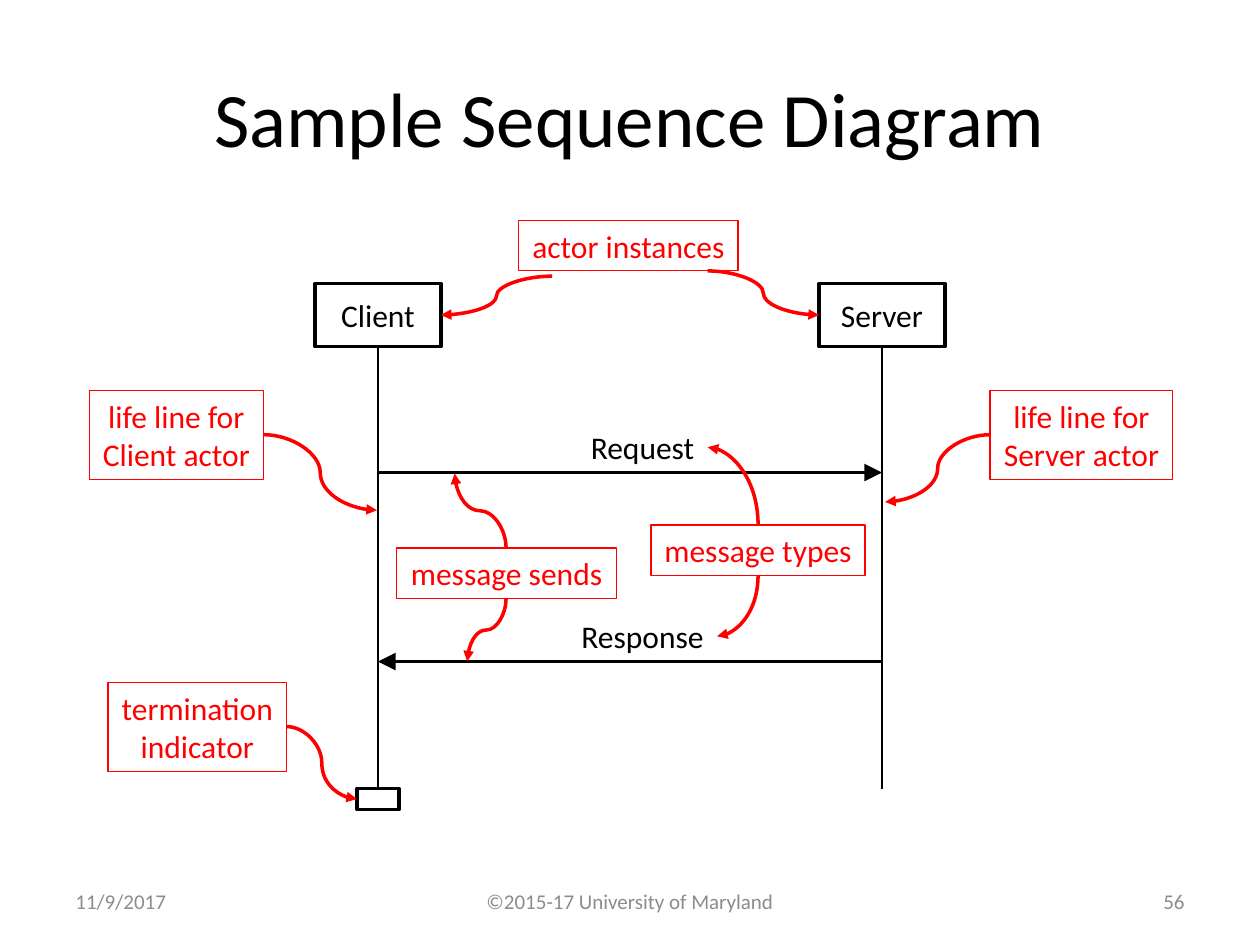
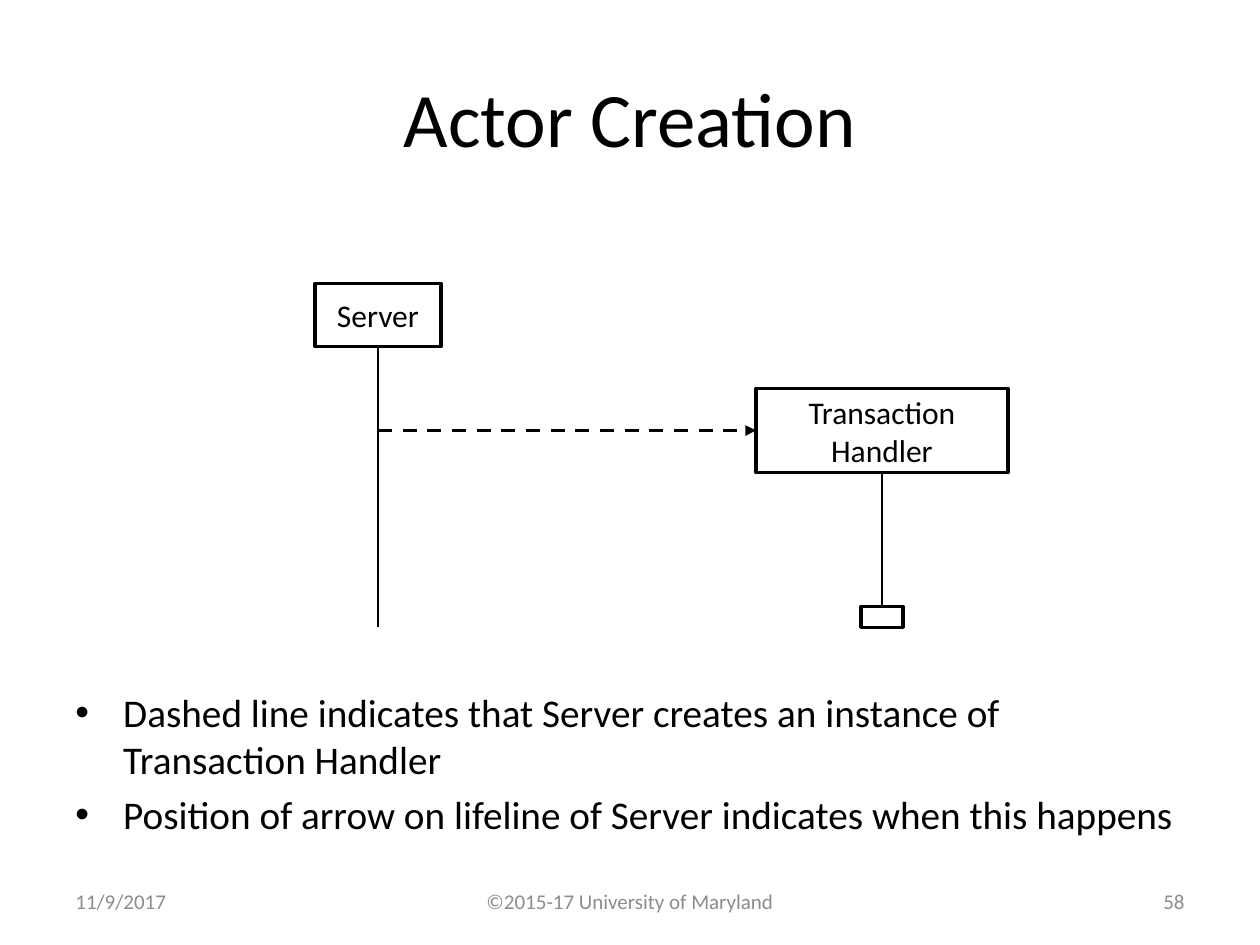
from lxml.etree import SubElement
from pptx import Presentation
from pptx.dml.color import RGBColor
from pptx.enum.dml import MSO_LINE
from pptx.enum.shapes import MSO_CONNECTOR as Link, MSO_SHAPE as Preset
from pptx.enum.text import MSO_ANCHOR as Anchor, PP_ALIGN as Align
from pptx.oxml.ns import qn
from pptx.util import Inches, Pt

COLORS = {"ink": "000000", "note": "FF0000", "footer": "8C8C8C"}
FONT = "Calibri"
COLUMNS, ROWS = 120, 90
BLANK_LAYOUT = 6
LABEL_HEIGHT = 4.8


class SequenceDeck:
    def __init__(self):
        self.deck = Presentation()
        self.deck.slide_width = Inches(10)
        self.deck.slide_height = Inches(7.5)
        self.column = self.deck.slide_width / COLUMNS
        self.row = self.deck.slide_height / ROWS
        self.slide = None

    def grid(self, *lengths):
        return [round(length * (self.row if i % 2 else self.column))
                for i, length in enumerate(lengths)]

    def start(self, title, number):
        self.slide = self.deck.slides.add_slide(
            self.deck.slide_layouts[BLANK_LAYOUT])
        self.text(title, (6, 3.6, 108, 15), 44, align=Align.CENTER)
        footers = (("11/9/2017", 6, 28, Align.LEFT),
                   ("©2015-17 University of Maryland", 41, 38, Align.CENTER),
                   (number, 86, 28, Align.RIGHT))
        for words, left, width, align in footers:
            self.text(words, (left, 83.4, width, LABEL_HEIGHT), 12, "footer", align)

    def fill_frame(self, frame, words, size, color, align, anchor=Anchor.MIDDLE,
                   wrap=True):
        frame.text = words
        frame.word_wrap = wrap
        frame.vertical_anchor = anchor
        for paragraph in frame.paragraphs:
            paragraph.alignment = align
            paragraph.font.name = FONT
            paragraph.font.size = Pt(size)
            paragraph.font.color.rgb = RGBColor.from_string(COLORS[color])

    def text(self, words, area, size, color="ink", align=Align.LEFT, **layout):
        holder = self.slide.shapes.add_textbox(*self.grid(*area))
        self.fill_frame(holder.text_frame, words, size, color, align, **layout)
        return holder.text_frame

    def bullets(self, points, area, size):
        frame = self.text("\n".join(points), area, size, anchor=Anchor.TOP)
        for paragraph in frame.paragraphs:
            paragraph.space_before = Pt(size * 0.2)
            properties = paragraph._p.get_or_add_pPr()
            indent = Inches(0.38)
            properties.set("marL", str(indent))
            properties.set("indent", str(-indent))
            bullet_font = SubElement(properties, qn("a:buFont"), typeface="Arial")
            bullet = SubElement(properties, qn("a:buChar"), char="•")
            properties.find(qn("a:spcBef")).addnext(bullet_font)
            bullet_font.addnext(bullet)

    def box(self, words, area, color="ink", weight=2, wrap=True):
        outline = self.slide.shapes.add_shape(Preset.RECTANGLE, *self.grid(*area))
        outline.shadow.inherit = False
        outline.fill.background()
        outline.line.color.rgb = RGBColor.from_string(COLORS[color])
        outline.line.width = Pt(weight)
        if words:
            self.fill_frame(outline.text_frame, words, 18, color, Align.CENTER,
                            wrap=wrap)

    def note(self, words, left, top, width):
        height = 8.5 if "\n" in words else LABEL_HEIGHT
        self.box(words, (left, top, width, height), "note", 0.75, wrap=False)

    def line(self, start, end, color="ink", weight=2, kind=Link.STRAIGHT,
             dashed=False, head=None):
        link = self.slide.shapes.add_connector(kind, *self.grid(*start, *end))
        link.line.color.rgb = RGBColor.from_string(COLORS[color])
        link.line.width = Pt(weight)
        if dashed:
            link.line.dash_style = MSO_LINE.DASH
        properties = link.element.spPr
        if head:
            SubElement(properties.find(qn("a:ln")), qn("a:tailEnd"),
                       type="triangle", w=head, len=head)
        SubElement(properties, qn("a:effectLst"))
        return properties

    def pointer(self, start, end):
        return self.line(start, end, "note", kind=Link.CURVE, head="med")

    def upright_pointer(self, start, end, bend="curvedConnector3"):
        (x1, y1), (x2, y2) = start, end
        middle_x, middle_y = (x1 + x2) / 2, (y1 + y2) / 2
        run, rise = abs(y2 - y1) / 2, (x1 - x2) / 2
        down = y2 > y1
        if not down:
            rise = -rise
        properties = self.pointer((middle_x - run, middle_y - rise),
                                  (middle_x + run, middle_y + rise))
        properties.find(qn("a:xfrm")).set("rot", str((90 if down else 270) * 60000))
        properties.find(qn("a:prstGeom")).set("prst", bend)

    def actor(self, name, center, top, life_end, width=12, height=6, ended=False):
        self.box(name, (center - width / 2, top, width, height))
        self.line((center, top + height), (center, life_end), weight=0.75)
        if ended:
            self.box("", (center - 2, life_end, 4, 2))

    def message(self, name, sender, receiver, row):
        self.line((sender, row), (receiver, row), head="lg")
        self.text(name, (54.1, row - LABEL_HEIGHT, 14.2, LABEL_HEIGHT), 18,
                  align=Align.CENTER, wrap=False)


def sample_diagram(deck):
    client, server = 36, 84
    deck.start("Sample Sequence Diagram", "56")
    deck.actor("Client", client, 27, 75.1, ended=True)
    deck.actor("Server", server, 27, 75.1)
    deck.message("Request", client, server, 45)
    deck.message("Response", server, client, 63)

    for words, left, top, width in (
            ("actor instances", 49.4, 21, 20.9),
            ("message sends", 37.8, 52.2, 20.9),
            ("message types", 62, 50, 20.4),
            ("life line for\nClient actor", 8.5, 37.2, 16.6),
            ("life line for\nServer actor", 94.3, 37.2, 17.4),
            ("termination\nindicator", 10.3, 65, 17)):
        deck.note(words, left, top, width)

    for start, end in (((67.4, 25.8), (78, 30)),
                       ((52.6, 26.3), (42, 30)),
                       ((25.1, 41.4), (35.9, 48.6)),
                       ((94.3, 41.4), (84.3, 47.8)),
                       ((27.3, 69.2), (34, 76.1))):
        deck.pointer(start, end)

    deck.upright_pointer((48.2, 57), (44.5, 63))
    deck.upright_pointer((48.2, 52.2), (43.3, 45.1))
    deck.upright_pointer((72.2, 54.8), (68.3, 60.6), "curvedConnector2")
    deck.upright_pointer((72.2, 50), (67.4, 42.6), "curvedConnector2")


def actor_creation(deck):
    server, handler = 36, 84
    deck.start("Actor Creation", "58")
    deck.bullets(
        ("Dashed line indicates that Server creates an instance of Transaction Handler",
         "Position of arrow on lifeline of Server indicates when this happens"),
        (6, 65, 108, 15.4), 22.4)
    deck.actor("Transaction\nHandler", handler, 37, 57.75, 24, 8, ended=True)
    deck.actor("Server", server, 27, 59.75)
    deck.line((server, 41), (handler - 12, 41), dashed=True, head="med")


def main():
    deck = SequenceDeck()
    sample_diagram(deck)
    actor_creation(deck)
    deck.deck.save("out.pptx")


if __name__ == "__main__":
    main()
